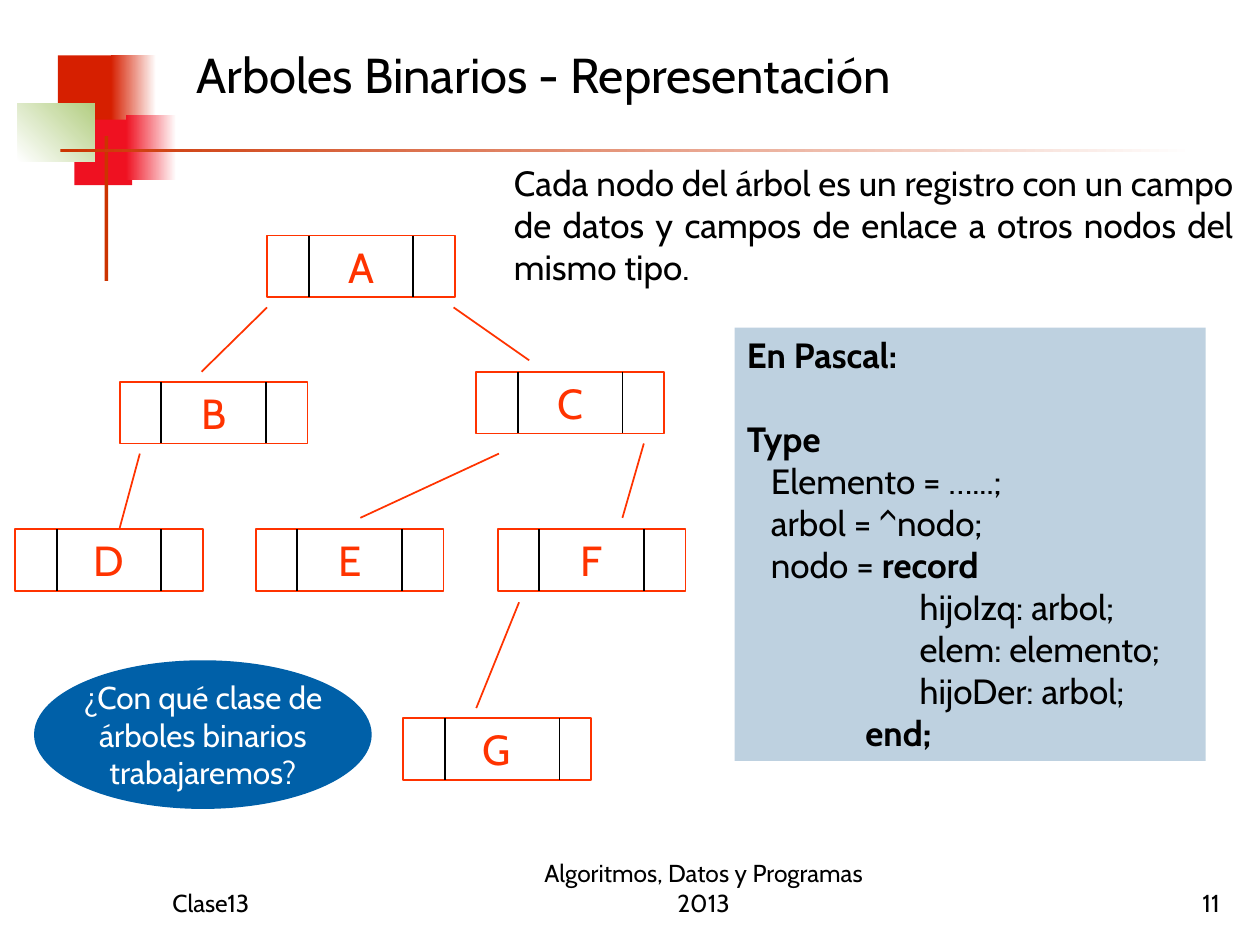
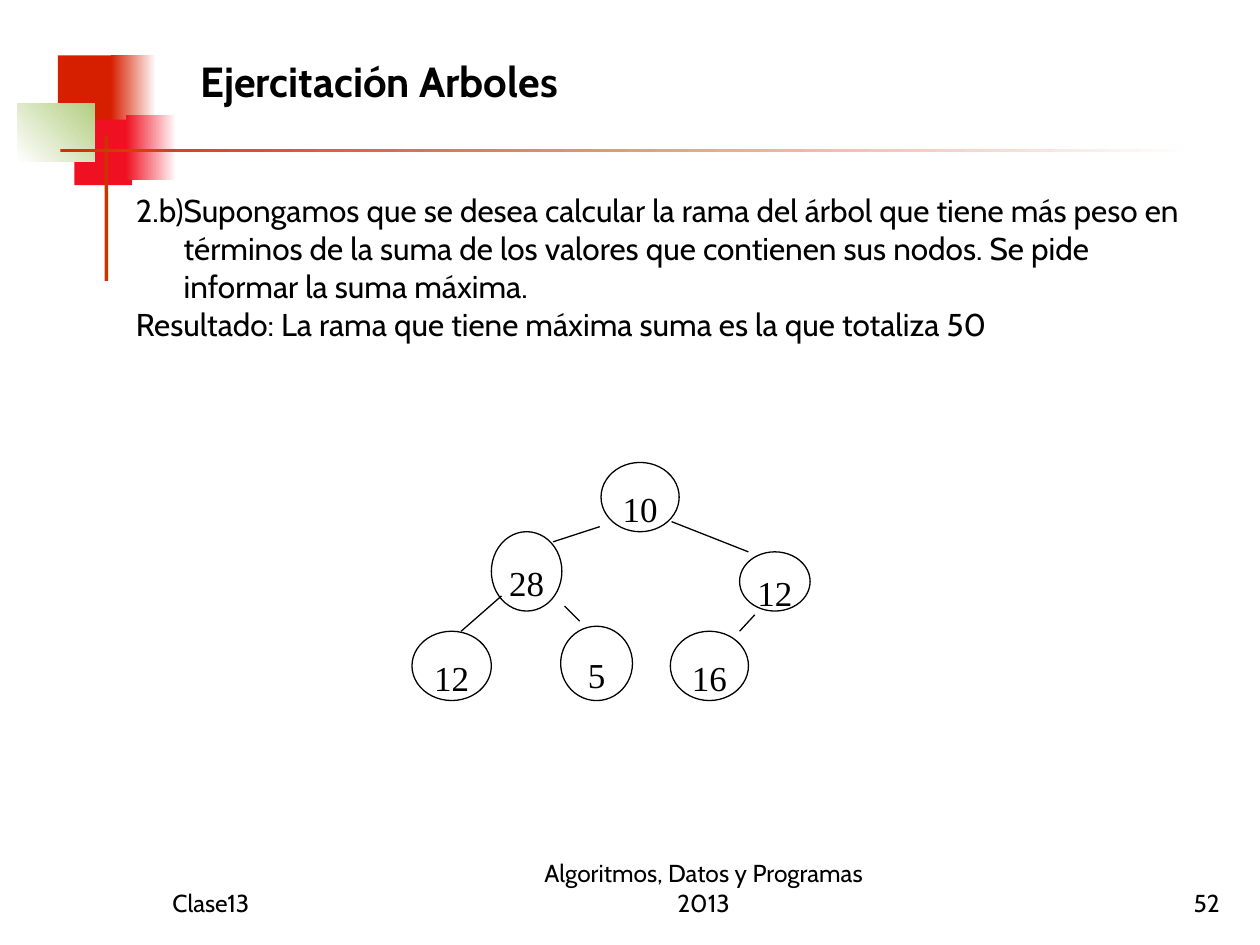
from lxml.etree import SubElement
from pptx import Presentation
from pptx.dml.color import RGBColor
from pptx.enum.shapes import MSO_CONNECTOR, MSO_SHAPE
from pptx.enum.text import MSO_ANCHOR, MSO_AUTO_SIZE, PP_ALIGN
from pptx.oxml.ns import qn
from pptx.util import Inches, Pt

BLACK = RGBColor(0x00, 0x00, 0x00)
WHITE = RGBColor(0xFF, 0xFF, 0xFF)
RED = RGBColor(0xD6, 0x1F, 0x00)
CRIMSON = RGBColor(0xEF, 0x11, 0x21)
GREEN = RGBColor(0xB3, 0xCE, 0x82)
RUST = RGBColor(0xCC, 0x33, 0x00)
ORANGE = RGBColor(0xFF, 0x33, 0x00)
PALE_BLUE = RGBColor(0xBE, 0xD1, 0xE0)
BLUE = RGBColor(0x00, 0x60, 0xA8)
FONT = "Cabin"
SERIF = "Times New Roman"

# Shared decoration: box, fill colours (two make a gradient), gradient angle
BANDS = [
    ((0.46, 0.44, 0.48, 0.52), (RED,), 0),
    ((0.88, 0.44, 0.36, 0.52), (RED, WHITE), 0),
    ((0.59, 0.95, 0.46, 0.52), (CRIMSON,), 0),
    ((1, 0.91, 0.4, 0.52), (CRIMSON, WHITE), 0),
    ((0.14, 0.82, 0.61, 0.46), (WHITE, GREEN), 45),
    ((0.83, 1.08, 0.03, 1.15), (RUST,), 0),
    ((0.48, 1.18, 9, 0.03), (RUST, WHITE), 0),
]
CLASS_NAME = "Clase13"
COURSE = "Algoritmos, Datos y Programas 2013"

# Slide 1
NODE_INTRO = ("Cada nodo del árbol es un registro con un campo de datos "
              "y campos de enlace a otros nodos del mismo tipo.")
# Indent, then (text, bold) runs
PASCAL_CODE = [
    (0, [("En Pascal:", True)]),
    (0, [("Type", True)]),
    (0.19, [("Elemento = …...;", False)]),
    (0.19, [("arbol = ^nodo;", False)]),
    (0.19, [("nodo = ", False), ("record", True)]),
    (1.37, [("hijoIzq: arbol;", False)]),
    (1.37, [("elem: elemento;", False)]),
    (1.37, [("hijoDer: arbol;", False)]),
    (0.94, [("end;", True)]),
]
QUESTION = ["¿Con qué clase de", "árboles binarios", "trabajaremos?"]
RECORD_SIZE = (1.49, 0.49)
LINK_FIELDS = (0.33, 1.16)
RECORDS = {
    "A": (2.12, 1.87), "B": (0.95, 3.03), "C": (3.78, 2.95),
    "D": (0.12, 4.2), "E": (2.03, 4.2), "F": (3.95, 4.2), "G": (3.2, 5.7),
}
WIDE_FIELDS = {"G": (0.33, 1.24)}
RECORD_LINKS = [
    (2.12, 2.44, 1.6, 2.95), (3.6, 2.44, 4.2, 2.86),
    (1.11, 3.6, 0.95, 4.19), (3.96, 3.6, 2.86, 4.11),
    (5.11, 3.52, 4.94, 4.11), (4.12, 4.78, 3.78, 5.62),
]

# Slide 2
EXERCISE = [
    "2.b)Supongamos que se desea calcular la rama del árbol que tiene más peso "
    "en términos de la suma de los valores que contienen sus nodos. Se pide "
    "informar la suma máxima.",
    "Resultado: La rama que tiene máxima suma es la que totaliza 50",
]
WEIGHTS = [
    ("10", (4.77, 3.67, 0.62, 0.55)),
    ("28", (3.9, 4.22, 0.56, 0.63)),
    ("12", (5.87, 4.38, 0.56, 0.47)),
    ("5", (4.45, 4.97, 0.57, 0.59)),
    ("16", (5.32, 5.01, 0.62, 0.55)),
    ("12", (3.27, 5.01, 0.63, 0.55)),
]
WEIGHT_LINKS = [
    (4.76, 4.18, 4.39, 4.3), (5.33, 4.14, 5.94, 4.38),
    (3.98, 4.73, 3.66, 5.01), (4.48, 4.81, 4.6, 4.93),
    (5.99, 4.88, 5.87, 5.01),
]


def inches(lengths):
    return [Inches(length) for length in lengths]


def write(shape, lines, size, color=BLACK, font=FONT, bold=False,
          align=PP_ALIGN.LEFT, anchor=MSO_ANCHOR.TOP, wrap=True,
          indent=0, hanging=0):
    """Fill a shape; a line is a string or an (indent, [(text, bold)]) pair."""
    frame = shape.text_frame
    frame.auto_size = MSO_AUTO_SIZE.NONE
    frame.word_wrap = wrap
    frame.vertical_anchor = anchor
    for index, line in enumerate(lines):
        margin, runs = (indent, [(line, bold)]) if isinstance(line, str) else line
        paragraph = frame.paragraphs[0] if index == 0 else frame.add_paragraph()
        paragraph.alignment = align
        properties = paragraph._p.get_or_add_pPr()
        properties.set("marL", str(Inches(margin)))
        properties.set("indent", str(-Inches(hanging)))
        for text, is_bold in runs:
            run = paragraph.add_run()
            run.text = text
            style = {"name": font, "size": Pt(size), "bold": is_bold}
            for attribute, value in style.items():
                setattr(run.font, attribute, value)
            run.font.color.rgb = color


def add_text(slide, box, lines, size, **style):
    write(slide.shapes.add_textbox(*inches(box)), lines, size, **style)


def add_figure(slide, preset, box, colors, line=None, width=1, angle=0):
    figure = slide.shapes.add_shape(preset, *inches(box))
    figure.shadow.inherit = False
    if len(colors) == 1:
        figure.fill.solid()
        figure.fill.fore_color.rgb = colors[0]
    else:
        figure.fill.gradient()
        figure.fill.gradient_angle = angle
        for position, (stop, color) in enumerate(zip(figure.fill.gradient_stops, colors)):
            stop.color.rgb = color
            stop.position = position
    if line is None:
        figure.line.fill.background()
    else:
        figure.line.color.rgb = line
        figure.line.width = Pt(width)
    return figure


def add_line(slide, ends, color, width=1):
    connector = slide.shapes.add_connector(MSO_CONNECTOR.STRAIGHT, *inches(ends))
    connector.line.color.rgb = color
    connector.line.width = Pt(width)
    SubElement(connector._element.spPr, qn("a:effectLst"))


def decorate_layout(layout, slide):
    """Draw the bands on a slide and move them to its layout, behind the title."""
    for placeholder in list(layout.placeholders)[1:]:
        layout.shapes.element.remove(placeholder.element)
    for order, (box, colors, angle) in enumerate(BANDS):
        band = add_figure(slide, MSO_SHAPE.RECTANGLE, box, colors, angle=angle)
        layout.shapes.element.insert(2 + order, band.element)


def finish_slide(slide, title, box, size, number, bold=False):
    heading = slide.shapes.title
    for side, length in zip(("left", "top", "width", "height"), inches(box)):
        setattr(heading, side, length)
    write(heading, [title], size, bold=bold, anchor=MSO_ANCHOR.MIDDLE)
    for left, width, text, align in (
        (1.27, 2.08, CLASS_NAME, PP_ALIGN.LEFT),
        (4, 3.17, COURSE, PP_ALIGN.CENTER),
        (7.7, 2.08, str(number), PP_ALIGN.RIGHT),
    ):
        add_text(slide, (left, 6.83, width, 0.5), [text], 14,
                 align=align, anchor=MSO_ANCHOR.BOTTOM)


def build_representation(slide):
    finish_slide(slide, "Arboles Binarios - Representación",
                 (1.46, 0.13, 6.93, 0.92), 28, 11)
    add_text(slide, (3.98, 1.23, 5.91, 1.1), [NODE_INTRO], 20, align=PP_ALIGN.JUSTIFY)

    code = add_figure(slide, MSO_SHAPE.RECTANGLE, (5.83, 2.6, 3.74, 3.44), (PALE_BLUE,))
    write(code, PASCAL_CODE, 20)
    code.text_frame.paragraphs[1].space_before = Pt(24)

    centred = {"align": PP_ALIGN.CENTER, "anchor": MSO_ANCHOR.MIDDLE, "wrap": False}
    width, height = RECORD_SIZE
    for letter, (left, top) in RECORDS.items():
        record = add_figure(slide, MSO_SHAPE.RECTANGLE, (left, top, width, height),
                            (WHITE,), ORANGE)
        write(record, [letter], 24, color=ORANGE, **centred)
        for offset in WIDE_FIELDS.get(letter, LINK_FIELDS):
            x = left + offset
            add_line(slide, (x, top, x, top + height), BLACK)
    for ends in RECORD_LINKS:
        add_line(slide, ends, ORANGE)

    question = add_figure(slide, MSO_SHAPE.OVAL, (0.27, 5.24, 2.68, 1.18), (BLUE,))
    write(question, QUESTION, 18, color=WHITE, **centred)


def build_exercise(slide):
    finish_slide(slide, "Ejercitación Arboles", (1.49, 0.13, 3.98, 1.02), 24, 52, bold=True)
    add_text(slide, (0.98, 1.47, 8.58, 4.88), EXERCISE, 18, indent=0.38, hanging=0.38)
    for weight, box in WEIGHTS:
        node = add_figure(slide, MSO_SHAPE.OVAL, box, (WHITE,), BLACK, 0.75)
        write(node, [weight], 20, font=SERIF, align=PP_ALIGN.CENTER,
              anchor=MSO_ANCHOR.MIDDLE, wrap=False)
        insets = {"margin_left": 0, "margin_right": 0,
                  "margin_top": Inches(0.18), "margin_bottom": 0}
        for side, inset in insets.items():
            setattr(node.text_frame, side, inset)
    for ends in WEIGHT_LINKS:
        add_line(slide, ends, BLACK, 0.75)


def main():
    deck = Presentation()
    deck.slide_width, deck.slide_height = inches((10, 7.5))
    layout = deck.slide_layouts.get_by_name("Title Only")
    representation = deck.slides.add_slide(layout)
    exercise = deck.slides.add_slide(layout)
    decorate_layout(layout, representation)
    build_representation(representation)
    build_exercise(exercise)
    deck.save("out.pptx")


if __name__ == "__main__":
    main()
